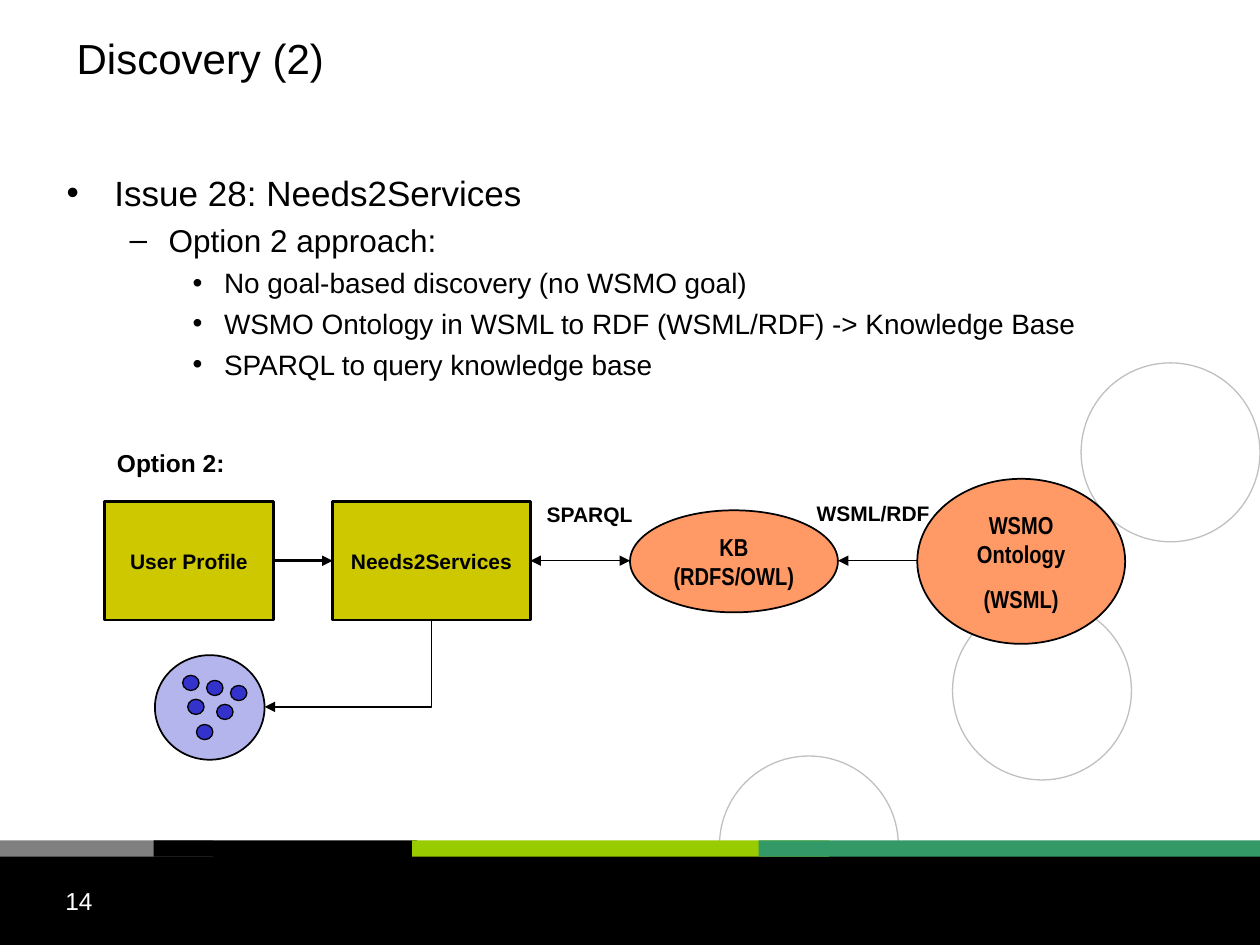
"""Build the Discovery (2) slide with its service matching diagram."""
from dataclasses import dataclass
from typing import Optional

import pptx
import pptx.dml.color
import pptx.enum.shapes
import pptx.enum.text
import pptx.oxml
import pptx.oxml.ns
import pptx.util

COLUMNS, ROWS = 100, 75
WIDTH, HEIGHT = pptx.util.Inches(10), pptx.util.Inches(7.5)
COLOURS = {
    "black": "000000", "white": "FFFFFF", "silver": "C0C0C0", "grey": "808080",
    "lime": "99CC00", "green": "339966", "olive": "CDC800", "orange": "FF9966",
    "lilac": "B5B5ED", "blue": "3333CC",
}
RECTANGLE = pptx.enum.shapes.MSO_SHAPE.RECTANGLE
OVAL = pptx.enum.shapes.MSO_SHAPE.OVAL
MIDDLE = pptx.enum.text.MSO_ANCHOR.MIDDLE
TOP = pptx.enum.text.MSO_ANCHOR.TOP
CENTRE = pptx.enum.text.PP_ALIGN.CENTER
LEFT = pptx.enum.text.PP_ALIGN.LEFT


@dataclass
class Area:
    column: float
    row: float
    columns: float
    rows: float


@dataclass
class Figure:
    kind: int
    area: Area
    fill: Optional[str] = None
    line: Optional[str] = None
    weight: float = 1


@dataclass
class Words:
    text: str
    size: float
    before: float = 0
    bold: bool = False
    colour: str = "black"
    font: str = "Arial"
    align: int = LEFT
    bullet: str = ""
    margin: float = 0
    hanging: float = 0


@dataclass
class Arrow:
    start: tuple
    end: tuple
    weight: float = 0.75
    both: bool = False
    start_box: Optional[str] = None
    start_side: int = 3
    end_box: Optional[str] = None
    end_side: int = 1


def across(columns: float) -> int:
    return round(WIDTH * columns / COLUMNS)


def down(rows: float) -> int:
    return round(HEIGHT * rows / ROWS)


def place(area: Area) -> tuple:
    return across(area.column), down(area.row), across(area.columns), down(area.rows)


def paint(target, name: str) -> None:
    target.rgb = pptx.dml.color.RGBColor.from_string(COLOURS[name])


def draw_figure(page, figure: Figure):
    shape = page.shapes.add_shape(figure.kind, *place(figure.area))
    shape.shadow.inherit = False
    if figure.fill:
        shape.fill.solid()
        paint(shape.fill.fore_color, figure.fill)
    else:
        shape.fill.background()
    if figure.line:
        paint(shape.line.color, figure.line)
        shape.line.width = pptx.util.Pt(figure.weight)
    else:
        shape.line.fill.background()
    return shape


def add_bullet(para, words: Words) -> None:
    settings = para._p.get_or_add_pPr()
    settings.set("marL", str(across(words.margin)))
    settings.set("indent", str(-across(words.hanging)))
    for tag, values in (("a:buFont", {"typeface": words.font}), ("a:buChar", {"char": words.bullet})):
        settings.append(settings.makeelement(pptx.oxml.ns.qn(tag), values))


def write(shape, lines: list[Words], wrap: bool = True, anchor: int = MIDDLE) -> None:
    frame = shape.text_frame
    frame.word_wrap = wrap
    frame.vertical_anchor = anchor
    for index, words in enumerate(lines):
        para = frame.add_paragraph() if index else frame.paragraphs[0]
        para.alignment = words.align
        para.space_before = pptx.util.Pt(words.before)
        if words.bullet:
            add_bullet(para, words)
        for number, part in enumerate(words.text.split("\n")):
            if number:
                para.add_line_break()
            span = para.add_run()
            span.text = part
            span.font.name = words.font
            span.font.size = pptx.util.Pt(words.size)
            span.font.bold = words.bold
            paint(span.font.color, words.colour)


def draw_text(page, area: Area, lines: list[Words], wrap: bool = True, anchor: int = MIDDLE) -> None:
    write(page.shapes.add_textbox(*place(area)), lines, wrap, anchor)


def draw_arrow(page, arrow: Arrow, boxes: dict, elbow: bool = False) -> None:
    kinds = pptx.enum.shapes.MSO_CONNECTOR
    line = page.shapes.add_connector(
        kinds.ELBOW if elbow else kinds.STRAIGHT,
        across(arrow.start[0]), down(arrow.start[1]), across(arrow.end[0]), down(arrow.end[1]))
    if arrow.start_box:
        line.begin_connect(boxes[arrow.start_box], arrow.start_side)
    if arrow.end_box:
        line.end_connect(boxes[arrow.end_box], arrow.end_side)
    paint(line.line.color, "black")
    line.line.width = pptx.util.Pt(arrow.weight)
    if elbow:
        turn_corner(line)
    outline = line.line._get_or_add_ln()
    for tag in ("a:headEnd", "a:tailEnd") if arrow.both else ("a:tailEnd",):
        outline.append(outline.makeelement(pptx.oxml.ns.qn(tag), {"type": "triangle"}))
    properties = line._element.spPr
    properties.append(properties.makeelement(pptx.oxml.ns.qn("a:effectLst"), {}))


def turn_corner(line) -> None:
    """Make the elbow leave downwards and arrive leftwards with one bend."""
    left, top, width, height = line.left, line.top, line.width, line.height
    frame = line._element.spPr.find(pptx.oxml.ns.qn("a:xfrm"))
    for flip in ("flipH", "flipV"):
        frame.attrib.pop(flip, None)
    frame.set("rot", str(90 * 60000))
    line.left, line.top = left + (width - height) // 2, top + (height - width) // 2
    line.width, line.height = height, width
    line._element.spPr.find(pptx.oxml.ns.qn("a:prstGeom")).set("prst", "bentConnector2")


def label(text: str, size: float = 12, before: float = 3, font: str = "Arial", align: int = CENTRE) -> Words:
    return Words(text, size, before, True, font=font, align=align)


def node(text: str) -> Words:
    return label(text, 14, 8.8, "Arial Narrow")


def bullet(text: str, level: int) -> Words:
    size, before, mark, margin, hanging = (
        (20, 5, "•", 3.8, 3.8), (18, 4.5, "–", 8.1, 3.1), (16, 4, "•", 12.5, 2.5))[level]
    return Words(text, size, before, bullet=mark, margin=margin, hanging=hanging)


def draw_background(page) -> None:
    rings = [Figure(OVAL, Area(column, row, 14.2, 14.2), None, "silver", 0.75)
             for column, row in ((57.1, 60), (75.6, 47.7), (85.8, 28.8))]
    footer = Figure(RECTANGLE, Area(0, 67.5, COLUMNS, 7.5), "black")
    bands = [Figure(RECTANGLE, Area(column, 66.7, columns, 1.3), fill) for column, columns, fill in (
        (0, 16.9, "grey"), (12.2, 20.9, "black"), (32.7, 33.1, "lime"), (60.2, 39.8, "green"))]
    for figure in (rings[0], footer, *rings[1:], *bands):
        draw_figure(page, figure)


def draw_diagram(page) -> None:
    nodes = [
        (Figure(RECTANGLE, Area(8.3, 39.8, 13.4, 9.4), "olive", "black", 1.5), [label("User Profile")]),
        (Figure(RECTANGLE, Area(26.4, 39.8, 15.7, 9.4), "olive", "black", 1.5), [label("Needs2Services")]),
        (Figure(OVAL, Area(50, 40.5, 16.5, 8.1), "orange", "black"), [node("KB\n(RDFS/OWL)")]),
        (Figure(OVAL, Area(72.8, 38, 16.5, 13.1), "orange", "black"), [node("WSMO Ontology"), node("(WSML)")]),
    ]
    boxes = {}
    for figure, lines in nodes:
        shape = draw_figure(page, figure)
        write(shape, lines, wrap=figure.kind == OVAL)
        boxes[lines[0].text] = shape
    draw_figure(page, Figure(OVAL, Area(12.3, 52, 8.7, 8.3), "lilac", "black"))
    for column, row in ((16.4, 54), (14.9, 55.5), (17.2, 55.9), (15.6, 57.5), (18.3, 54.4), (14.5, 53.6)):
        draw_figure(page, Figure(OVAL, Area(column, row, 1.3, 1.2), "blue", "black", 0.75))
    needs = "Needs2Services"
    draw_arrow(page, Arrow((21.7, 44.5), (26.4, 44.5), 1.5, start_box="User Profile", end_box=needs), boxes)
    draw_arrow(page, Arrow((50, 44.5), (42.1, 44.5), both=True, end_box=needs, end_side=3), boxes)
    draw_arrow(page, Arrow((72.8, 44.5), (66.5, 44.5)), boxes)
    draw_arrow(page, Arrow((34.3, 49.2), (21, 56.1), start_box=needs, start_side=2), boxes, elbow=True)
    for area, words in (
            (Area(8.3, 35.1, 11, 3.2), label("Option 2:", 14, 3.5, align=LEFT)),
            (Area(41.8, 39.2, 10, 3.2), label("SPARQL")),
            (Area(63.3, 39.1, 12, 3.2), label("WSML/RDF"))):
        draw_text(page, area, [words], wrap=False)


def main() -> None:
    deck = pptx.Presentation()
    deck.slide_width, deck.slide_height = WIDTH, HEIGHT
    page = deck.slides.add_slide(deck.slide_layouts[6])
    draw_background(page)
    draw_text(page, Area(5.1, 0, 78.3, 9.2), [Words("Discovery (2)", 24)])
    draw_text(page, Area(4.3, 13.1, 91.5, 51.1), [
        bullet("Issue 28: Needs2Services", 0),
        bullet("Option 2 approach:", 1),
        bullet("No goal-based discovery (no WSMO goal)", 2),
        bullet("WSMO Ontology in WSML to RDF (WSML/RDF) -> Knowledge Base", 2),
        bullet("SPARQL to query knowledge base", 2)], anchor=TOP)
    draw_diagram(page)
    draw_text(page, Area(4.2, 69.8, 23.3, 5.2), [Words("14", 14, colour="white")], anchor=TOP)
    deck.save("out.pptx")


if __name__ == "__main__":
    main()
